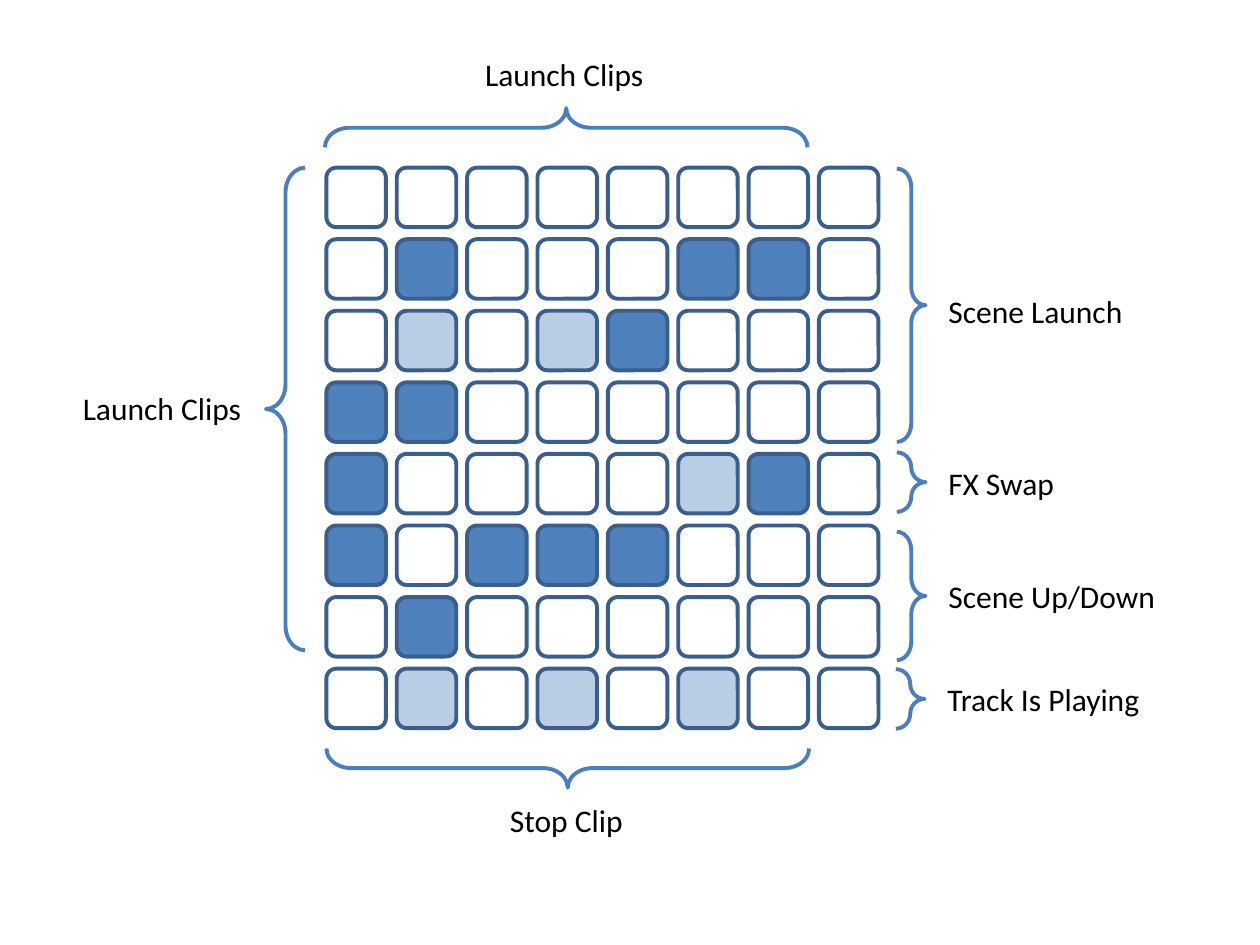
import pptx
import pptx.dml.color
import pptx.enum.shapes
import pptx.enum.text
import pptx.util
from pptx.util import Cm

WHITE = pptx.dml.color.RGBColor(0xFF, 0xFF, 0xFF)
BLACK = pptx.dml.color.RGBColor(0x00, 0x00, 0x00)
BLUE = pptx.dml.color.RGBColor(0x4F, 0x81, 0xBD)
PALE_BLUE = pptx.dml.color.RGBColor(0xB9, 0xCD, 0xE5)
BUTTON_OUTLINE = pptx.dml.color.RGBColor(0x3A, 0x5F, 0x8C)
BRACE_BLUE = pptx.dml.color.RGBColor(0x4B, 0x7E, 0xBC)

LINE_WIDTH = pptx.util.Pt(2.25)
BUTTON_SIZE = 1.2
BUTTON_FILLS = {".": WHITE, "#": BLUE, "o": PALE_BLUE}
BUTTON_ROWS = [
    "........",
    ".#...##.",
    ".o.o#...",
    "##......",
    "#....o#.",
    "#.###...",
    ".#......",
    ".o.o.o..",
]

# Boxes are left, top, width, height in centimetres
GRID_BOX = (6.58, 3.38, 11.13, 11.3)

# Label text, label box, brace box, brace rotation
ANNOTATIONS = [
    ("Launch Clips", (9.53, 0.99, 3.76, 1.02), (6.55, 2.18, 9.73, 0.79), 270),
    ("Launch Clips", (1.42, 7.72, 3.76, 1.02), (5.36, 3.38, 0.79, 9.73), 180),
    ("Stop Clip", (10.03, 16.03, 2.82, 1.02), (6.58, 15.09, 9.73, 0.79), 90),
    ("Scene Launch", (18.87, 5.77, 4.06, 1.02), (18.08, 3.4, 0.58, 5.51), 0),
    ("FX Swap", (18.87, 9.22, 2.67, 1.02), (18.08, 9.12, 0.58, 1.2), 0),
    ("Scene Up/Down", (18.87, 11.51, 4.72, 1.02), (18.08, 10.72, 0.58, 2.59), 0),
    ("Track Is Playing", (18.85, 13.59, 4.42, 1.02), (18.06, 13.49, 0.58, 1.2), 0),
]


def add_button_grid(slide, box):
    """Spread the buttons evenly over the box."""
    left, top, width, height = box
    pitch_x = (width - BUTTON_SIZE) / (len(BUTTON_ROWS[0]) - 1)
    pitch_y = (height - BUTTON_SIZE) / (len(BUTTON_ROWS) - 1)
    group = slide.shapes.add_group_shape()
    for row, states in enumerate(BUTTON_ROWS):
        for column, state in enumerate(states):
            button = group.shapes.add_shape(
                pptx.enum.shapes.MSO_SHAPE.ROUNDED_RECTANGLE,
                Cm(left + column * pitch_x), Cm(top + row * pitch_y),
                Cm(BUTTON_SIZE), Cm(BUTTON_SIZE))
            button.shadow.inherit = False
            button.fill.solid()
            button.fill.fore_color.rgb = BUTTON_FILLS[state]
            button.line.color.rgb = BUTTON_OUTLINE
            button.line.width = LINE_WIDTH


def add_brace(slide, box, rotation):
    """Fill the box with a brace turned about its centre."""
    left, top, width, height = box
    if rotation in (90, 270):
        # A quarter turn swaps the sides, so start from the upright box
        left += (width - height) / 2
        top += (height - width) / 2
        width, height = height, width
    brace = slide.shapes.add_shape(
        pptx.enum.shapes.MSO_SHAPE.RIGHT_BRACE,
        Cm(left), Cm(top), Cm(width), Cm(height))
    brace.rotation = rotation
    brace.adjustments[0] = 0.63
    brace.shadow.inherit = False
    brace.fill.background()
    brace.line.color.rgb = BRACE_BLUE
    brace.line.width = LINE_WIDTH


def add_label(slide, box, text):
    """Write one unwrapped line of text in the box."""
    label = slide.shapes.add_textbox(*(Cm(length) for length in box))
    frame = label.text_frame
    frame.word_wrap = False
    frame.auto_size = pptx.enum.text.MSO_AUTO_SIZE.SHAPE_TO_FIT_TEXT
    paragraph = frame.paragraphs[0]
    paragraph.text = text
    paragraph.font.name = "Calibri"
    paragraph.font.size = pptx.util.Pt(18)
    paragraph.font.color.rgb = BLACK


def main():
    presentation = pptx.Presentation()
    presentation.slide_width = Cm(25.4)
    presentation.slide_height = Cm(19.05)
    slide = presentation.slides.add_slide(presentation.slide_layouts[6])

    # Controller buttons
    add_button_grid(slide, GRID_BOX)

    # Braces and their labels around the grid
    for text, label_box, brace_box, rotation in ANNOTATIONS:
        add_brace(slide, brace_box, rotation)
        add_label(slide, label_box, text)

    presentation.save("out.pptx")


if __name__ == "__main__":
    main()
